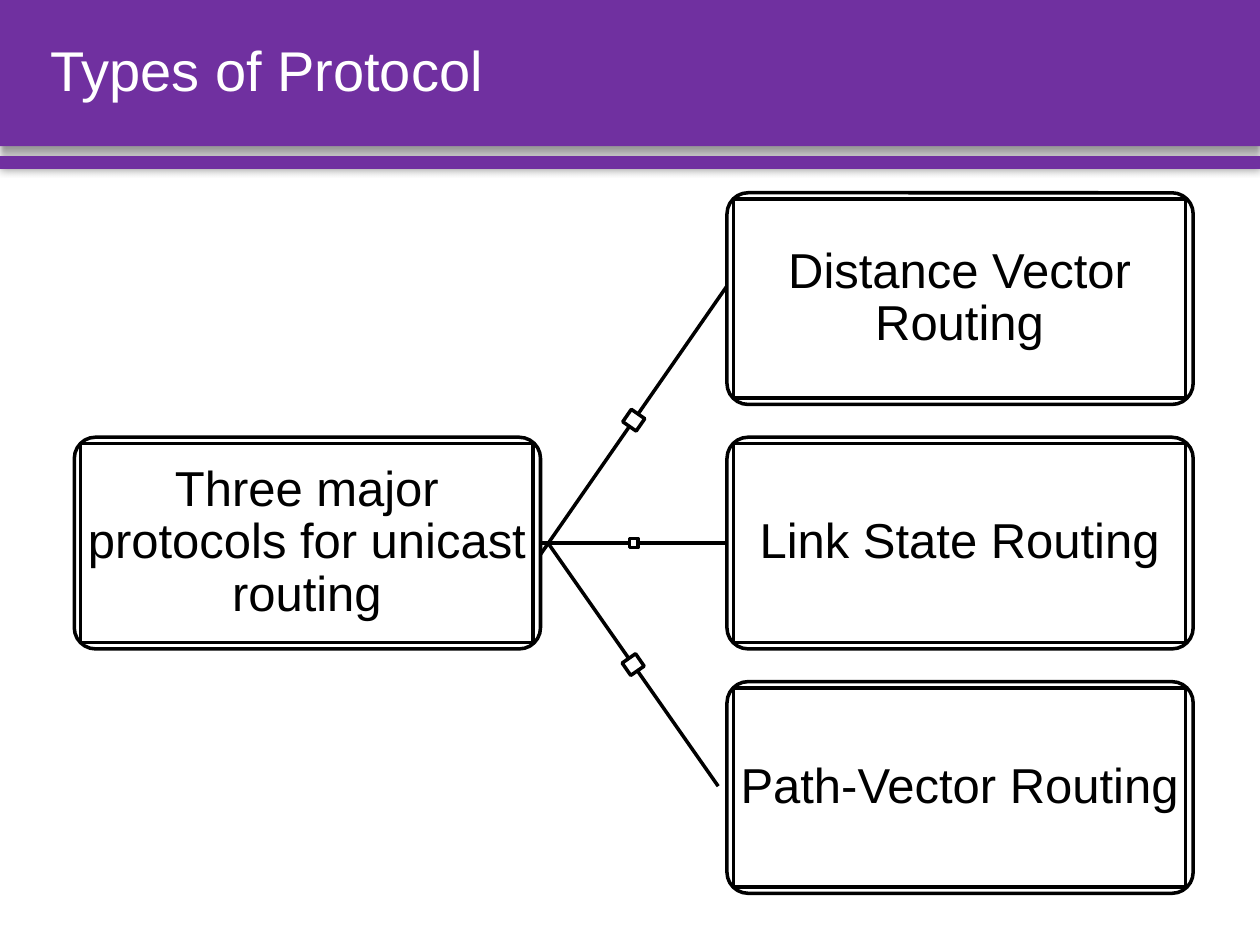
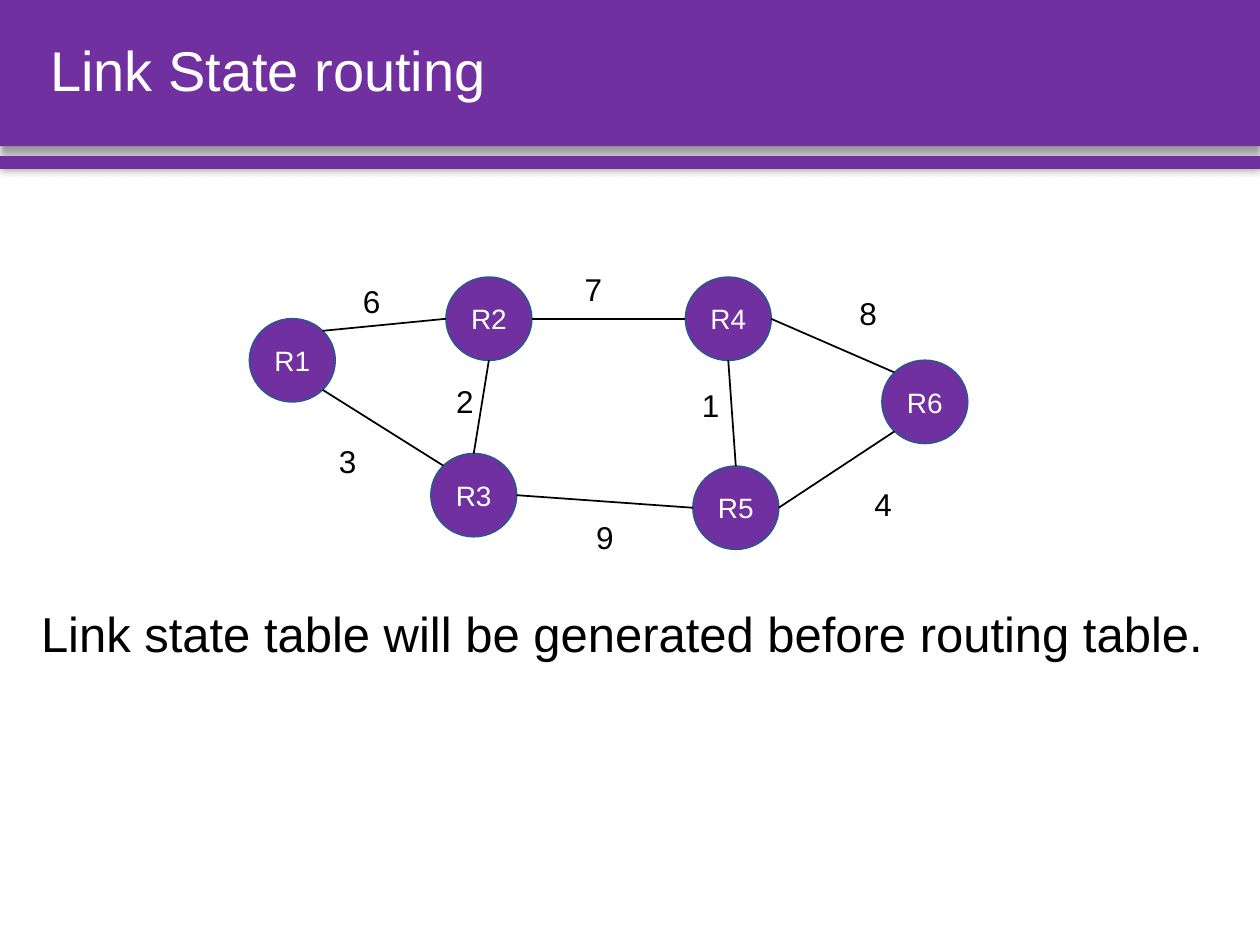
import lxml.etree
import pptx
import pptx.dml.color
import pptx.enum.shapes
import pptx.enum.text
import pptx.oxml.ns
import pptx.util

Inches = pptx.util.Inches
Shape = pptx.enum.shapes.MSO_SHAPE
Align = pptx.enum.text.PP_ALIGN
Anchor = pptx.enum.text.MSO_ANCHOR

PURPLE, WHITE, BLACK, RIM = "7030A0", "FFFFFF", "000000", "31538F"
FONT = "Arial"


def color(text):
    return pptx.dml.color.RGBColor.from_string(text)


def apply(target, values):
    for name, value in values.items():
        setattr(target, name, value)


def add_tag(parent, tag, **values):
    return lxml.etree.SubElement(parent, pptx.oxml.ns.qn(tag), values)


class Deck:
    """Holds the style and the current slide."""

    def __init__(self):
        self.show = pptx.Presentation()
        apply(self.show, {"slide_width": Inches(10), "slide_height": Inches(7.5)})
        self.slide = None

    def start(self, title):
        self.slide = self.show.slides.add_slide(self.show.slide_layouts[6])
        self.band(0, 1.16, blur=4, dist=3, angle=90)
        self.band(1.24, 0.1, blur=5, dist=0, angle=0)
        self.text(title, 0.3, 0, 9.46, 1.16, 32, WHITE, Align.LEFT, spacing=0.9)

    def band(self, top, height, blur, dist, angle):
        bar = self.shape(Shape.RECTANGLE, 0, top, 10, height, PURPLE)
        effects = bar._element.spPr.find(pptx.oxml.ns.qn("a:effectLst"))
        shadow = add_tag(
            effects, "a:outerShdw", blurRad=str(pptx.util.Pt(blur)),
            dist=str(pptx.util.Pt(dist)), dir=str(angle * 60000),
            algn="t", rotWithShape="0")
        tint = add_tag(shadow, "a:srgbClr", val=BLACK)
        add_tag(tint, "a:alpha", val="40000")

    def shape(self, kind, left, top, width, height, fill, line=None, weight=1):
        item = self.slide.shapes.add_shape(
            kind, *map(Inches, (left, top, width, height)))
        item.shadow.inherit = False
        item.fill.solid()
        item.fill.fore_color.rgb = color(fill)
        if line:
            item.line.color.rgb = color(line)
            item.line.width = pptx.util.Pt(weight)
        else:
            item.line.fill.background()
        return item

    def label(self, item, words, size, ink, align=Align.CENTER,
              anchor=Anchor.MIDDLE, spacing=1.0, inset=(0.1, 0.05)):
        across, down = map(Inches, inset)
        frame = item.text_frame
        apply(frame, {
            "word_wrap": True, "vertical_anchor": anchor,
            "margin_left": across, "margin_right": across,
            "margin_top": down, "margin_bottom": down})
        para = frame.paragraphs[0]
        apply(para, {"text": words, "alignment": align, "line_spacing": spacing})
        apply(para.runs[0].font, {"name": FONT, "size": pptx.util.Pt(size)})
        para.runs[0].font.color.rgb = color(ink)

    def text(self, words, left, top, width, height, size, ink=BLACK,
             align=Align.CENTER, **style):
        box = self.slide.shapes.add_textbox(
            *map(Inches, (left, top, width, height)))
        self.label(box, words, size, ink, align, **style)

    def line(self, start, end, weight=1):
        link = self.slide.shapes.add_connector(
            pptx.enum.shapes.MSO_CONNECTOR.STRAIGHT,
            *map(Inches, (*start, *end)))
        link.line.color.rgb = color(BLACK)
        link.line.width = pptx.util.Pt(weight)
        add_tag(link._element.spPr, "a:effectLst")

    def card(self, words, left, top):
        """A rounded frame with a text panel inside it."""
        frame = self.shape(Shape.ROUNDED_RECTANGLE, left, top,
                           CARD_W, CARD_H, WHITE, BLACK, 2)
        frame.adjustments[0] = 0.1
        panel = self.shape(Shape.RECTANGLE, left + 0.05, top + 0.05,
                           CARD_W - 0.11, CARD_H - 0.1, WHITE, BLACK, 2)
        self.label(panel, words, 28, BLACK, spacing=0.9, inset=(0.02, 0.02))

    def mark(self, x, y, width, height, angle):
        """A small square centred on a branch."""
        square = self.shape(Shape.RECTANGLE, x - width / 2, y - height / 2,
                            width, height, WHITE, BLACK, 2)
        square.rotation = angle

    def node(self, name, left, top):
        disc = self.shape(Shape.FLOWCHART_CONNECTOR, left, top,
                          NODE_W, NODE_H, PURPLE, RIM)
        self.label(disc, name, 16, WHITE)


# Card tree
CARD_W, CARD_H = 3.7, 1.68
ROOT_X, LEAF_X = 0.59, 5.77
TOP, STEP = 1.53, 1.94
LEAVES = ["Distance Vector Routing", "Link State Routing", "Path-Vector Routing"]
# Each branch: start, end, mark width, mark height, mark angle
BRANCHES = [
    ((4.29, 4.4), (5.77, 2.27), 0.12, 0.13, 304.8),
    ((4.29, 4.31), (5.77, 4.31), 0.07, 0.07, 0),
    ((4.35, 4.31), (5.7, 6.24), 0.12, 0.13, 55.2),
]

# Router graph
NODE_W, NODE_H = 0.68, 0.66
NODES = {
    "R1": (1.98, 2.53), "R2": (3.54, 2.2), "R4": (5.44, 2.2),
    "R6": (7, 2.86), "R3": (3.42, 3.6), "R5": (5.5, 3.7),
}
DIAG = 0.71
SIDES = {
    "top": (0, -1), "bottom": (0, 1), "left": (-1, 0), "right": (1, 0),
    "top left": (-DIAG, -DIAG), "top right": (DIAG, -DIAG),
    "low left": (-DIAG, DIAG), "low right": (DIAG, DIAG),
}
# Each link: node and side at both ends, cost, left and top of the cost
LINKS = [
    ("R1", "top right", "R2", "left", "6", 2.67, 2.2),
    ("R1", "low right", "R3", "top left", "3", 2.48, 3.47),
    ("R3", "right", "R5", "left", "9", 4.52, 4.07),
    ("R2", "right", "R4", "left", "7", 4.43, 2.1),
    ("R4", "right", "R6", "top left", "8", 6.61, 2.29),
    ("R5", "right", "R6", "low left", "4", 6.73, 3.81),
    ("R3", "top", "R2", "bottom", "2", 3.41, 2.99),
    ("R5", "top", "R4", "bottom", "1", 5.36, 3.02),
]


def port(name, side):
    """The point on a node's rim at the given side."""
    left, top = NODES[name]
    across, down = SIDES[side]
    return left + NODE_W / 2 * (1 + across), top + NODE_H / 2 * (1 + down)


def draw_types(deck):
    deck.start("Types of Protocol")
    deck.card("Three major protocols for unicast routing", ROOT_X, TOP + STEP)
    for row, (leaf, branch) in enumerate(zip(LEAVES, BRANCHES)):
        start, end, *mark = branch
        deck.line(start, end, 2)
        deck.mark((start[0] + end[0]) / 2, (start[1] + end[1]) / 2, *mark)
        deck.card(leaf, LEAF_X, TOP + row * STEP)


def draw_graph(deck):
    deck.start("Link State routing")
    deck.text("Link state table will be generated before routing table.",
              0, 4.74, 9.87, 0.71, 28, anchor=Anchor.TOP)
    for name, place in NODES.items():
        deck.node(name, *place)
    for tail, out, head, into, cost, left, top in LINKS:
        deck.line(port(tail, out), port(head, into))
        deck.text(cost, left, top, 0.56, 0.38, 18)


def main():
    deck = Deck()
    draw_types(deck)
    draw_graph(deck)
    deck.show.save("out.pptx")


if __name__ == "__main__":
    main()
